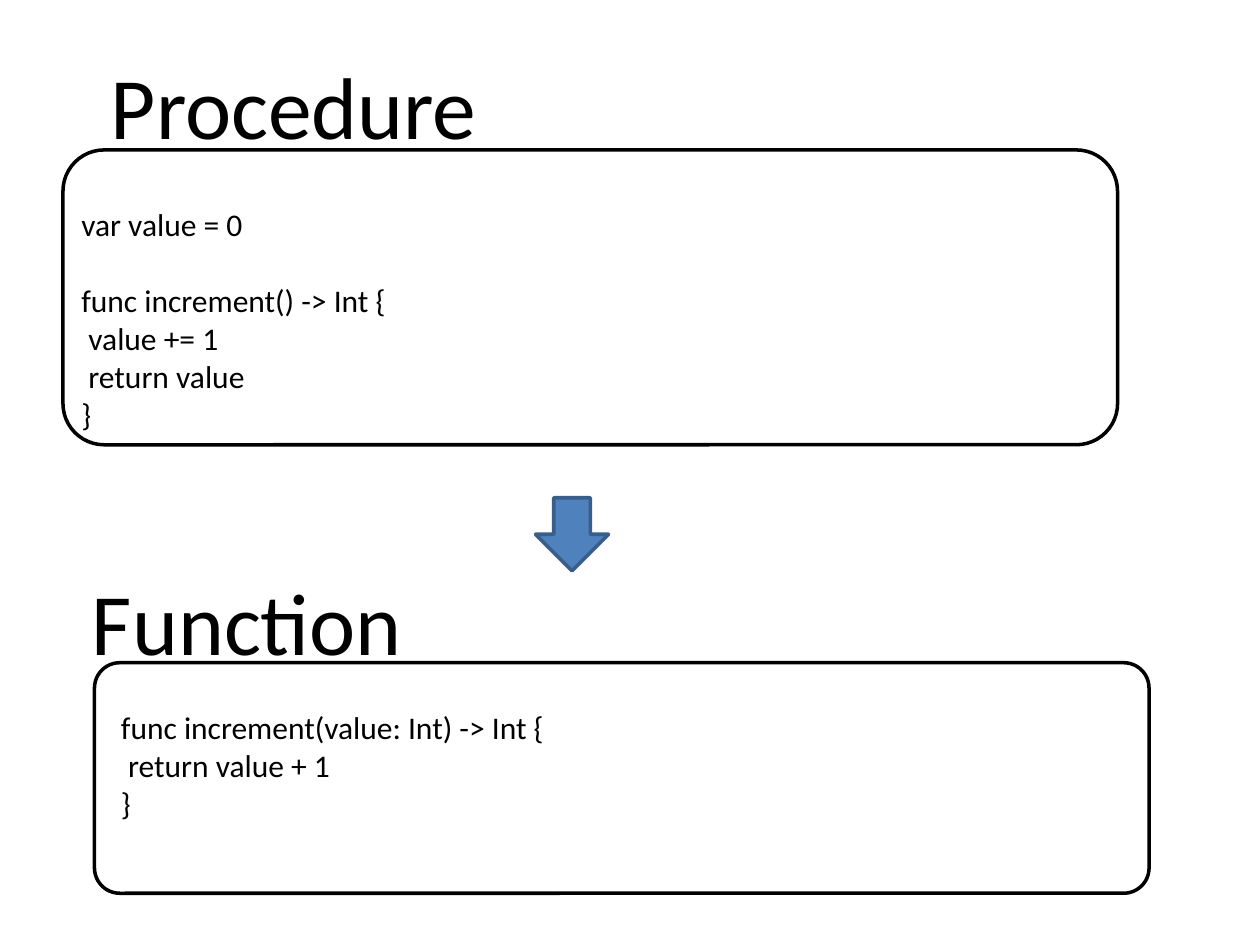
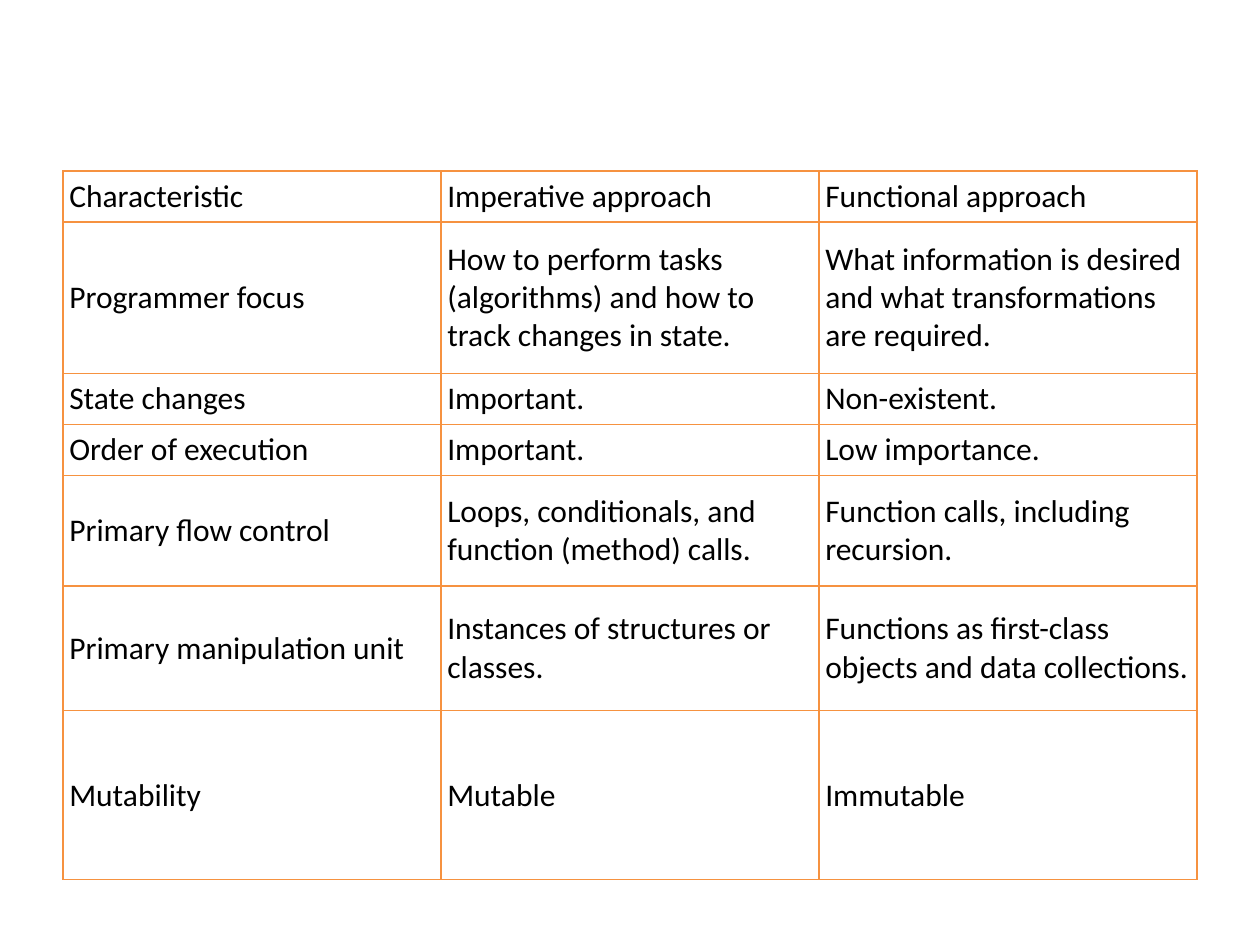
"""Build two slides comparing imperative and functional programming."""
import lxml.etree
import pptx
import pptx.dml.color
import pptx.enum.shapes
import pptx.enum.text
import pptx.oxml.ns
import pptx.util

BLACK = pptx.dml.color.RGBColor(0x00, 0x00, 0x00)
WHITE = pptx.dml.color.RGBColor(0xFF, 0xFF, 0xFF)
BLUE = pptx.dml.color.RGBColor(0x4F, 0x81, 0xBD)
DARK_BLUE = pptx.dml.color.RGBColor(0x3A, 0x5E, 0x8A)
ORANGE = pptx.dml.color.RGBColor(0xF6, 0x92, 0x40)
FONT = "Calibri"
TITLE_SIZE = pptx.util.Pt(50)
BODY_SIZE = pptx.util.Pt(18)
BLANK_LINE = pptx.util.Pt(22)
SHAPE = pptx.enum.shapes.MSO_SHAPE
ANCHOR = pptx.enum.text.MSO_ANCHOR

prs = pptx.Presentation()
prs.slide_width = pptx.util.Inches(10)
prs.slide_height = pptx.util.Inches(7.5)
W, H = prs.slide_width, prs.slide_height
INSET = int(0.5 * W / 100)


def place(x, y, w, h):
    """Turn percentages of the slide's size into a position and a size."""
    return [int(v * side / 100) for v, side in zip((x, y, w, h), (W, H, W, H))]


def write(tf, lines, size):
    """Write one paragraph per line with the shared font and insets."""
    tf.margin_left = tf.margin_right = tf.margin_top = tf.margin_bottom = INSET
    tf.text = "\n".join(lines)
    for p in tf.paragraphs:
        p.alignment = pptx.enum.text.PP_ALIGN.LEFT
        p.font.name, p.font.size, p.font.color.rgb = FONT, size, BLACK


s = prs.slides.add_slide(prs.slide_layouts[6])
panels = []
for kind, box, corner, fill, line in (
    (SHAPE.ROUNDED_RECTANGLE, (5, 15.87, 83.7, 31.2), 0.14, WHITE, BLACK),
    (SHAPE.ROUNDED_RECTANGLE, (7.5, 70.13, 83.7, 24.4), 0.11, WHITE, BLACK),
    (SHAPE.DOWN_ARROW, (42.5, 52.67, 5.8, 7.73), 0.5, BLUE, DARK_BLUE),
):
    sp = s.shapes.add_shape(kind, *place(*box))
    sp.shadow.inherit = False
    sp.adjustments[0] = corner
    sp.fill.solid()
    sp.fill.fore_color.rgb = fill
    sp.line.color.rgb = line
    sp.line.width = pptx.util.Pt(2)
    panels.append(sp)

tf = panels[0].text_frame
write(tf, ["var value = 0", "func increment() -> Int {", " value += 1", " return value", "}"], BODY_SIZE)
tf.vertical_anchor = ANCHOR.BOTTOM
tf.margin_bottom = 0
tf.paragraphs[1].space_before = BLANK_LINE

tf = s.shapes.add_textbox(*place(9.1, 74.4, 80.5, 13.07)).text_frame
write(tf, ["func increment(value: Int) -> Int {", " return value + 1", "}"], BODY_SIZE)
tf.word_wrap = True
tf.vertical_anchor = ANCHOR.MIDDLE

for title, box in (
    ("Procedure", (8.3, 4.8, 32.5, 12.13)),
    ("Function", (6.8, 59.47, 28.1, 12.13)),
):
    tf = s.shapes.add_textbox(*place(*box)).text_frame
    write(tf, [title], TITLE_SIZE)
    tf.word_wrap = False
    tf.auto_size = pptx.enum.text.MSO_AUTO_SIZE.SHAPE_TO_FIT_TEXT

APPROACHES = (
    ("Characteristic", "Imperative approach", "Functional approach"),
    ("Programmer focus",
     "How to perform tasks (algorithms) and how to track changes in state.",
     "What information is desired and what transformations are required."),
    ("State changes", "Important.", "Non-existent."),
    ("Order of execution", "Important.", "Low importance."),
    ("Primary flow control",
     "Loops, conditionals, and function (method) calls.",
     "Function calls, including recursion."),
    ("Primary manipulation unit",
     "Instances of structures or classes.",
     "Functions as first-class objects and data collections."),
    ("Mutability", "Mutable", "Immutable"),
)
ROW_HEIGHTS = (5.4, 16, 5.4, 5.4, 11.73, 13.2, 17.87)

s = prs.slides.add_slide(prs.slide_layouts[6])
frame = s.shapes.add_table(len(APPROACHES), 3, *place(5, 18.1, 90, sum(ROW_HEIGHTS)))
table = frame.table
table.first_row = table.horz_banding = False
for row, height, texts in zip(table.rows, ROW_HEIGHTS, APPROACHES):
    row.height = int(height * H / 100)
    for cell, text in zip(row.cells, texts):
        write(cell.text_frame, [text], BODY_SIZE)
        cell.margin_left = cell.margin_right = INSET
        cell.margin_top = cell.margin_bottom = INSET
        cell.vertical_anchor = ANCHOR.MIDDLE
        tc_pr = cell._tc.get_or_add_tcPr()
        for side in ("a:lnL", "a:lnR", "a:lnT", "a:lnB"):
            ln = lxml.etree.SubElement(tc_pr, pptx.oxml.ns.qn(side), w=str(pptx.util.Pt(0.75)))
            solid = lxml.etree.SubElement(ln, pptx.oxml.ns.qn("a:solidFill"))
            lxml.etree.SubElement(solid, pptx.oxml.ns.qn("a:srgbClr"), val=str(ORANGE))
        cell.fill.background()

prs.save("out.pptx")
